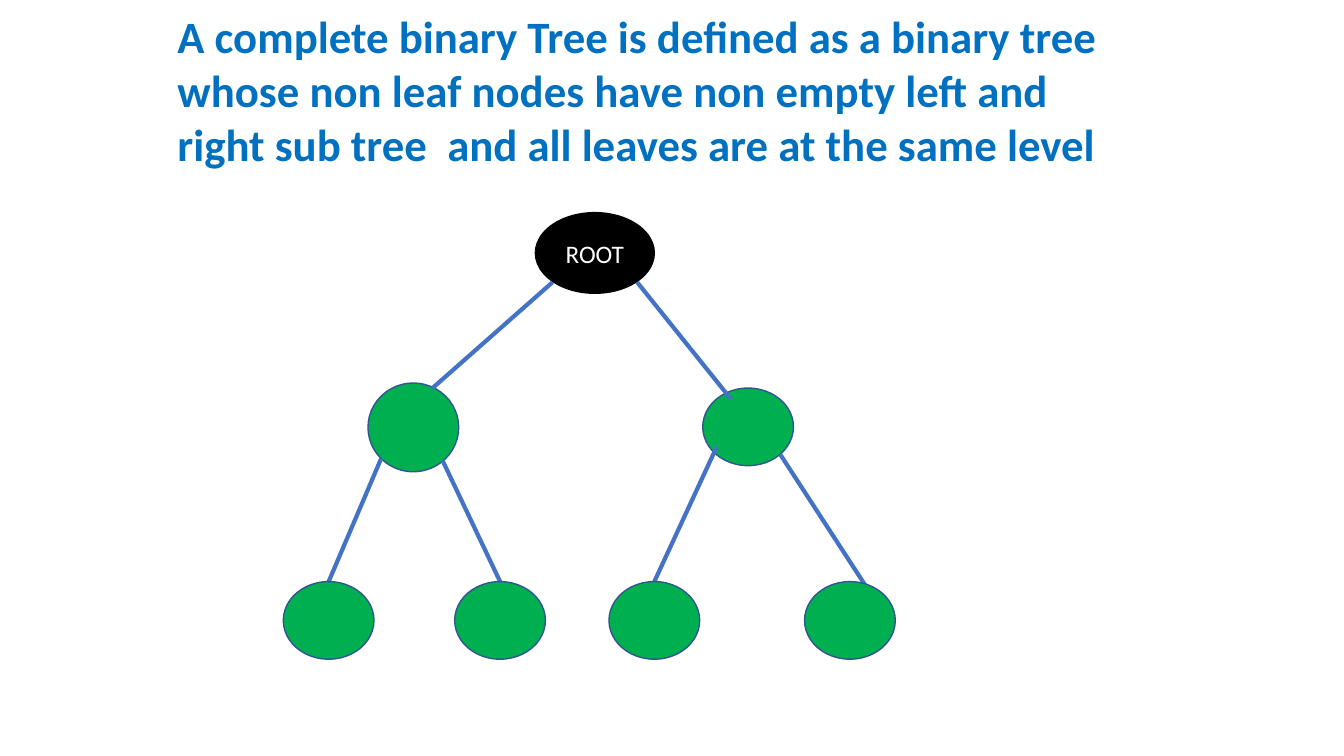
from lxml.etree import SubElement
from pptx import Presentation
from pptx.dml.color import RGBColor
from pptx.enum.shapes import MSO_CONNECTOR, MSO_SHAPE
from pptx.enum.text import MSO_ANCHOR, MSO_AUTO_SIZE, PP_ALIGN
from pptx.oxml.ns import qn
from pptx.util import Pt

PX = 9144  # 100 px to the inch
BLACK = RGBColor(0x00, 0x00, 0x00)
WHITE = RGBColor(0xFF, 0xFF, 0xFF)
GREEN = RGBColor(0x00, 0xB0, 0x50)
NODE_EDGE = RGBColor(0x32, 0x54, 0x91)
LINK_BLUE = RGBColor(0x44, 0x72, 0xC4)
TITLE_BLUE = RGBColor(0x00, 0x70, 0xC0)


def write(shape, text, size, color, bold=False, align=PP_ALIGN.LEFT, anchor=MSO_ANCHOR.TOP):
    frame = shape.text_frame
    frame.word_wrap = True
    frame.auto_size = MSO_AUTO_SIZE.NONE
    frame.vertical_anchor = anchor
    para = frame.paragraphs[0]
    para.alignment = align
    para.line_spacing = 1.0
    span = para.add_run()
    span.text = text
    span.font.name = "Calibri"
    span.font.size = Pt(size)
    span.font.bold = bold
    span.font.color.rgb = color


def add_node(page, left, top, width, height, fill=GREEN, edge=NODE_EDGE):
    node = page.shapes.add_shape(MSO_SHAPE.OVAL, left * PX, top * PX, width * PX, height * PX)
    node.shadow.inherit = False
    node.fill.solid()
    node.fill.fore_color.rgb = fill
    node.line.color.rgb = edge
    node.line.width = Pt(1)
    return node


deck = Presentation()
deck.slide_width, deck.slide_height = 1333 * PX, 750 * PX
page = deck.slides.add_slide(deck.slide_layouts[5])

# Definition
title = page.shapes.title
title.left, title.top, title.width, title.height = 166 * PX, 4 * PX, 935 * PX, 172 * PX
write(title, "A complete binary Tree is defined as a binary tree whose non leaf nodes "
      "have non empty left and right sub tree  and all leaves are at the same level",
      32, TITLE_BLUE, bold=True)

# Root and its two children
root = add_node(page, 531, 211, 118, 80, fill=BLACK, edge=BLACK)
write(root, "ROOT", 18, WHITE, align=PP_ALIGN.CENTER, anchor=MSO_ANCHOR.MIDDLE)
add_node(page, 365, 380, 90, 88)
add_node(page, 697, 385, 90, 77)

# Links from parent to child
links = [
    (548, 280, 429, 385), (632, 280, 725, 396),
    (378, 455, 326, 577), (439, 457, 496, 577),
    (711, 443, 649, 577), (774, 451, 861, 585),
]
for link in links:
    line = page.shapes.add_connector(MSO_CONNECTOR.STRAIGHT, *(value * PX for value in link))
    line.line.color.rgb = LINK_BLUE
    line.line.width = Pt(3)
    SubElement(line.element.spPr, qn("a:effectLst"))

# Leaves, all on one level
for left in (281, 451, 604, 798):
    add_node(page, left, 577, 90, 77)

deck.save("out.pptx")
